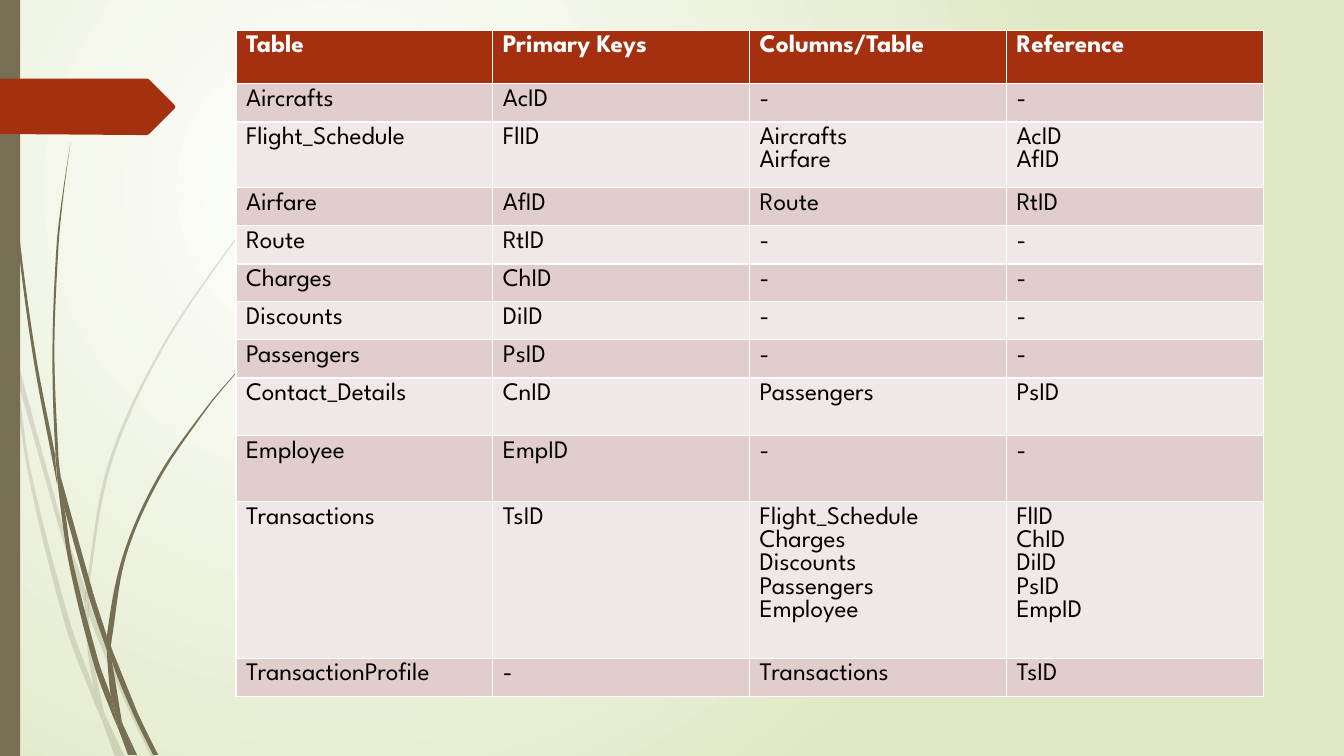
import math
from lxml import etree
from pptx import Presentation
from pptx import util as u
from pptx.dml.color import RGBColor
from pptx.oxml.ns import qn
from pptx.enum import shapes

PX = 9144  # EMU per px, 100 px to the inch
THEME = {
    "white": RGBColor.from_string("FFFFFF"),
    "black": RGBColor.from_string("000000"),
    "meadow": RGBColor.from_string("DFE8C4"),
    "stem": RGBColor.from_string("766F54"),
    "accent": RGBColor.from_string("A53010"),
    "bands": [RGBColor.from_string("E1CDCC"), RGBColor.from_string("F0E8E7")],
    "font": "League Spartan",
    "size": u.Pt(18),
}


def add_outline(parent, points, color):
    builder = parent.build_freeform(*points[0], scale=PX)
    builder.add_line_segments(points[1:], close=True)
    shape = builder.convert_to_shape()
    paint(shape, color)
    return shape


def paint(shape, color):
    shape.fill.solid()
    shape.fill.fore_color.rgb = color
    shape.line.fill.background()
    shape.shadow.inherit = False


presentation = Presentation()
presentation.slide_width = 1333 * PX
presentation.slide_height = 750 * PX
slide = presentation.slides.add_slide(presentation.slide_layouts[6])

# Background: radial gradient
background = slide.background.fill
background.gradient()
for stop, color in zip(background.gradient_stops, ("white", "meadow")):
    stop.color.rgb = THEME[color]
linear = slide._element.find(".//" + qn("a:lin"))
radial = etree.Element(qn("a:path"))
radial.set("path", "circle")
etree.SubElement(radial, qn("a:fillToRect"), l="50000", t="50000", r="100000", b="100000")
linear.getparent().replace(linear, radial)

# Grass: outline points of each blade section
pale_grass = [
    [(11, 350), (9, 322), (0, 282), (0, 299), (10, 344)],
    [(58, 522), (84, 599), (85, 586), (62, 520), (14, 345), (17, 376)],
    [(92, 607), (88, 596), (88, 610), (123, 694), (150, 751), (155, 751), (127, 692)],
    [(119, 751), (124, 751), (105, 711)],
    [(93, 683), (70, 619), (31, 469), (17, 376), (11, 350), (28, 470), (65, 621),
     (92, 693), (101, 714), (99, 707)],
    [(84, 599), (87, 646), (93, 683), (96, 692), (105, 711), (103, 706), (91, 646),
     (88, 610), (88, 608)],
    [(88, 584), (110, 462), (160, 349), (229, 245), (268, 198), (290, 175), (312, 154),
     (312, 153), (289, 175), (268, 197), (228, 244), (158, 348), (107, 461), (85, 584),
     (85, 586), (88, 596)],
    [(101, 714), (114, 751), (119, 751)],
    [(88, 608), (88, 610), (88, 596), (85, 586), (84, 599)],
    [(96, 692), (93, 683), (99, 707), (101, 714), (119, 751), (105, 711)],
]
dark_grass = [
    [(7, 110), (17, 233), (33, 355), (56, 477), (57, 481), (55, 457), (55, 453),
     (36, 355), (19, 232), (8, 109), (5, 48), (4, 0), (3, 0), (4, 48)],
    [(88, 592), (106, 645), (106, 633), (106, 631), (93, 590), (60, 472), (64, 505)],
    [(113, 649), (110, 641), (111, 656), (132, 708), (152, 749), (157, 749), (136, 706)],
    [(110, 691), (98, 657), (72, 556), (64, 505), (57, 477), (68, 557), (93, 659),
     (111, 708), (117, 722), (116, 717)],
    [(60, 472), (58, 453), (54, 349), (58, 245), (63, 193), (70, 141), (62, 193),
     (56, 245), (52, 349), (55, 449)],
    [(133, 749), (136, 749), (122, 719)],
    [(57, 477), (64, 505), (60, 472), (55, 449), (55, 453)],
    [(111, 633), (125, 552), (158, 476), (205, 406), (231, 374), (245, 359), (261, 344),
     (260, 344), (245, 358), (231, 373), (204, 405), (156, 474), (122, 551), (106, 631),
     (110, 641)],
    [(117, 722), (127, 749), (131, 749)],
    [(106, 645), (110, 691), (116, 706), (122, 719), (121, 716), (111, 656), (109, 651)],
    [(106, 645), (109, 651), (111, 656), (110, 641), (106, 631), (106, 633)],
    [(116, 706), (110, 691), (116, 717), (117, 722), (130, 749), (133, 749), (122, 719)],
]
for sections, opacity in ((pale_grass, "20000"), (dark_grass, "100000")):
    grass = slide.shapes.add_group_shape()
    for points in sections:
        section = add_outline(grass.shapes, points, THEME["stem"])
        color = section._element.spPr.find(".//" + qn("a:srgbClr"))
        etree.SubElement(color, qn("a:alpha"), val=opacity)

        # Bend the edges, leaving sharp tips as corners
        tangents = []
        for index, (x, y) in enumerate(points):
            before, after = points[index - 1], points[(index + 1) % len(points)]
            turn = (x - before[0]) * (after[0] - x) + (y - before[1]) * (after[1] - y)
            reach = math.dist(before, after)
            smooth = turn > 0.8 * math.dist(before, (x, y)) * math.dist((x, y), after)
            tangents.append([(b - a) / reach / 3 if smooth else 0
                             for a, b in zip(before, after)])
        left = min(x for x, y in points)
        top = min(y for x, y in points)
        edges = section._element.findall(".//" + qn("a:lnTo"))
        for index, edge in enumerate(edges):
            following = (index + 1) % len(points)
            start, end = points[index], points[following]
            chord = math.dist(start, end)
            controls = [
                [p + chord * t for p, t in zip(start, tangents[index])],
                [p - chord * t for p, t in zip(end, tangents[following])],
                end]
            curve = etree.Element(qn("a:cubicBezTo"))
            for x, y in controls:
                etree.SubElement(curve, qn("a:pt"), x=str(round((x - left) * PX)),
                                 y=str(round((y - top) * PX)))
            edge.getparent().replace(edge, curve)
        outline = section._element.find(".//" + qn("a:pathLst"))[0]
        outline.set("w", str(section.width))
        outline.set("h", str(section.height))
        start = outline.find(qn("a:moveTo"))[0]
        start.set("x", str((points[0][0] - left) * PX))
        start.set("y", str((points[0][1] - top) * PX))

# Side bar and page marker
side_bar = slide.shapes.add_shape(shapes.MSO_SHAPE.RECTANGLE, 0, 0, 20 * PX, 750 * PX)
paint(side_bar, THEME["stem"])
add_outline(slide.shapes, [
    (173, 108), (148, 133), (146, 134), (136, 134), (0, 133), (0, 78), (136, 78),
    (146, 78), (148, 79), (173, 104), (174, 106)], THEME["accent"])

# Key table: row height, then cell texts
rows = [
    (53, "Table", "Primary Keys", "Columns/Table", "Reference"),
    (38, "Aircrafts", "AcID", "-", "-"),
    (65, "Flight_Schedule", "FlID", "Aircrafts\nAirfare", "AcID\nAfID"),
    (38, "Airfare", "AfID", "Route", "RtID"),
    (38, "Route", "RtID", "-", "-"),
    (37, "Charges", "ChID", "-", "-"),
    (38, "Discounts", "DiID", "-", "-"),
    (38, "Passengers", "PsID", "-", "-"),
    (57, "Contact_Details", "CnID", "Passengers", "PsID"),
    (66, "Employee", "EmpID", "-", "-"),
    (155, "Transactions", "TsID",
     "Flight_Schedule\nCharges\nDiscounts\nPassengers\nEmployee",
     "FlID\nChID\nDiID\nPsID\nEmpID"),
    (38, "TransactionProfile", "-", "Transactions", "TsID"),
]
table_height = sum(row[0] for row in rows)
table = slide.shapes.add_table(
    len(rows), 4, 234 * PX, 30 * PX, 1019 * PX, table_height * PX).table
for row_index, (height, *texts) in enumerate(rows):
    header = row_index == 0
    table.rows[row_index].height = height * PX
    for column_index, words in enumerate(texts):
        cell = table.cell(row_index, column_index)
        cell.fill.solid()
        cell.fill.fore_color.rgb = (
            THEME["accent"] if header else THEME["bands"][(row_index - 1) % 2])
        cell.text = words
        for paragraph in cell.text_frame.paragraphs:
            paragraph.font.name = THEME["font"]
            paragraph.font.size = THEME["size"]
            paragraph.font.bold = header
            paragraph.font.color.rgb = THEME["white" if header else "black"]

presentation.save("out.pptx")
